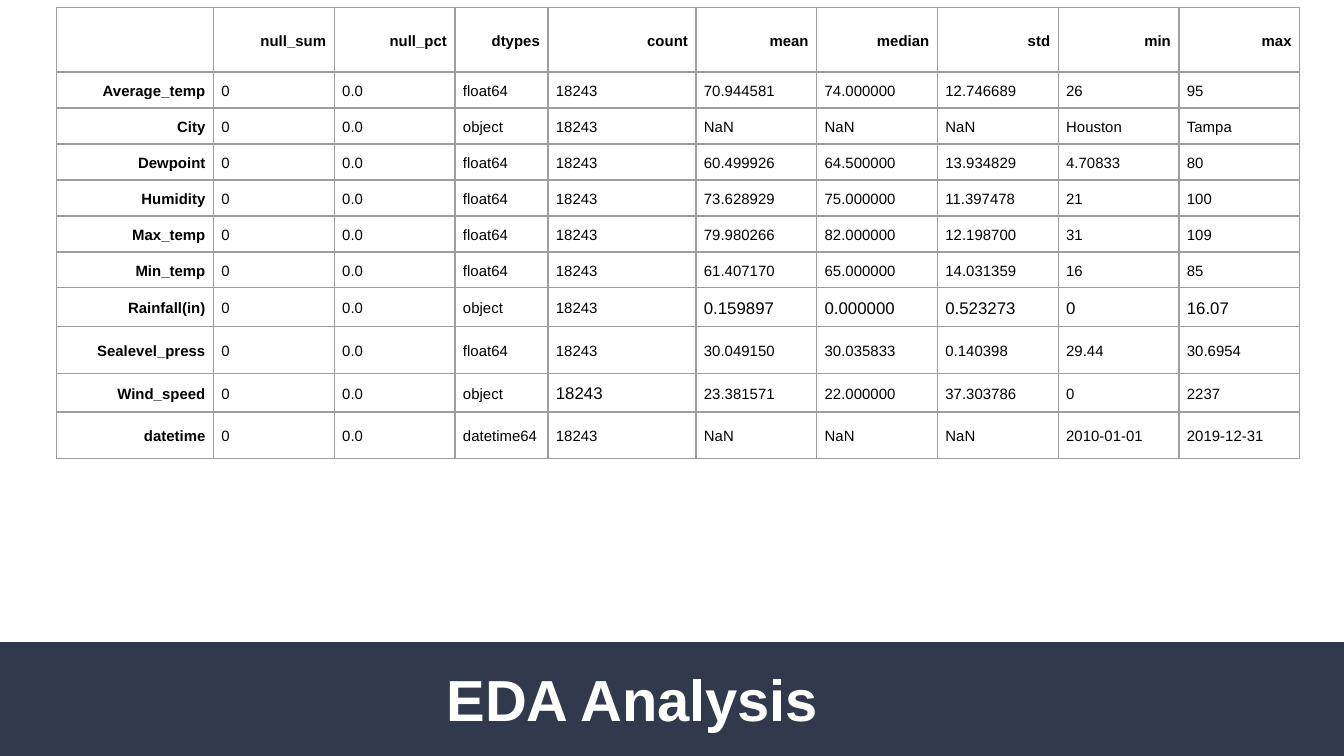
"""Build the EDA Analysis slide with its table of column statistics."""
from lxml import etree
from pptx import Presentation
from pptx import util as u
from pptx.dml import color
from pptx.enum import shapes, text
from pptx.oxml import ns

COLORS = {"band": "31394D", "white": "FFFFFF", "black": "000000", "border": "9E9E9E"}
ROWS = [
    ["", "null_sum", "null_pct", "dtypes", "count", "mean", "median", "std", "min", "max"],
    ["Average_temp", "0", "0.0", "float64", "18243", "70.944581", "74.000000", "12.746689", "26", "95"],
    ["City", "0", "0.0", "object", "18243", "NaN", "NaN", "NaN", "Houston", "Tampa"],
    ["Dewpoint", "0", "0.0", "float64", "18243", "60.499926", "64.500000", "13.934829", "4.70833", "80"],
    ["Humidity", "0", "0.0", "float64", "18243", "73.628929", "75.000000", "11.397478", "21", "100"],
    ["Max_temp", "0", "0.0", "float64", "18243", "79.980266", "82.000000", "12.198700", "31", "109"],
    ["Min_temp", "0", "0.0", "float64", "18243", "61.407170", "65.000000", "14.031359", "16", "85"],
    ["Rainfall(in)", "0", "0.0", "object", "18243", "0.159897", "0.000000", "0.523273", "0", "16.07"],
    ["Sealevel_press", "0", "0.0", "float64", "18243", "30.049150", "30.035833", "0.140398", "29.44", "30.6954"],
    ["Wind_speed", "0", "0.0", "object", "18243", "23.381571", "22.000000", "37.303786", "0", "2237"],
    ["datetime", "0", "0.0", "datetime64", "18243", "NaN", "NaN", "NaN", "2010-01-01", "2019-12-31"],
]
COLUMN_WIDTHS = [84.2, 64.7, 64.7, 49.8, 79.3] + [64.7] * 5
ROW_HEIGHTS = [34.4] + [19.3] * 6 + [20.8, 25, 20.8, 25]
LARGER_CELLS = {(7, column) for column in range(5, 10)} | {(9, 4)}


def rgb(name):
    return color.RGBColor.from_string(COLORS[name])


def add_borders(cell):
    properties = cell._tc.get_or_add_tcPr()
    for position, side in enumerate(("lnL", "lnR", "lnT", "lnB")):
        line = etree.Element(ns.qn(f"a:{side}"), w=str(u.Pt(0.75)))
        fill = etree.SubElement(line, ns.qn("a:solidFill"))
        etree.SubElement(fill, ns.qn("a:srgbClr"), val=COLORS["border"])
        properties.insert(position, line)


presentation = Presentation()
presentation.slide_width, presentation.slide_height = u.Pt(720), u.Pt(405)
slide = presentation.slides.add_slide(presentation.slide_layouts[5])

band = slide.shapes.add_shape(shapes.MSO_SHAPE.RECTANGLE, u.Pt(0), u.Pt(344), u.Pt(720), u.Pt(61))
band.shadow.inherit = False
band.fill.solid()
band.fill.fore_color.rgb = rgb("band")
band.line.fill.background()

title = slide.shapes.title
title.element.addprevious(band.element)
title.left, title.top, title.width, title.height = u.Pt(24.5), u.Pt(356), u.Pt(628.5), u.Pt(36)
title.text_frame.text = "EDA Analysis"
title.text_frame.auto_size = text.MSO_AUTO_SIZE.NONE
title.text_frame.vertical_anchor = text.MSO_ANCHOR.MIDDLE
paragraph = title.text_frame.paragraphs[0]
paragraph.alignment = text.PP_ALIGN.CENTER
paragraph.font.name, paragraph.font.size, paragraph.font.bold = "Arial", u.Pt(31), True
paragraph.font.color.rgb = rgb("white")

table = slide.shapes.add_table(
    len(ROWS), len(COLUMN_WIDTHS), u.Pt(30.2), u.Pt(4.2), u.Pt(sum(COLUMN_WIDTHS)), u.Pt(sum(ROW_HEIGHTS))
).table
table.first_row = table.horz_banding = False
for column, width in zip(table.columns, COLUMN_WIDTHS):
    column.width = u.Pt(width)
for row, height in zip(table.rows, ROW_HEIGHTS):
    row.height = u.Pt(height)

for row_index, values in enumerate(ROWS):
    for column_index, value in enumerate(values):
        cell = table.cell(row_index, column_index)
        cell.text = value
        cell.fill.background()
        cell.vertical_anchor = text.MSO_ANCHOR.MIDDLE
        cell.margin_left = cell.margin_right = cell.margin_top = cell.margin_bottom = u.Pt(4.3)
        add_borders(cell)
        is_header = row_index == 0 or column_index == 0
        paragraph = cell.text_frame.paragraphs[0]
        paragraph.alignment = text.PP_ALIGN.RIGHT if is_header else text.PP_ALIGN.LEFT
        paragraph.line_spacing, paragraph.space_before = 1.15, u.Pt(9)
        paragraph.font.name, paragraph.font.bold = "Arial", is_header
        paragraph.font.size = u.Pt(9 if (row_index, column_index) in LARGER_CELLS else 8)
        paragraph.font.color.rgb = rgb("black")

presentation.save("out.pptx")
